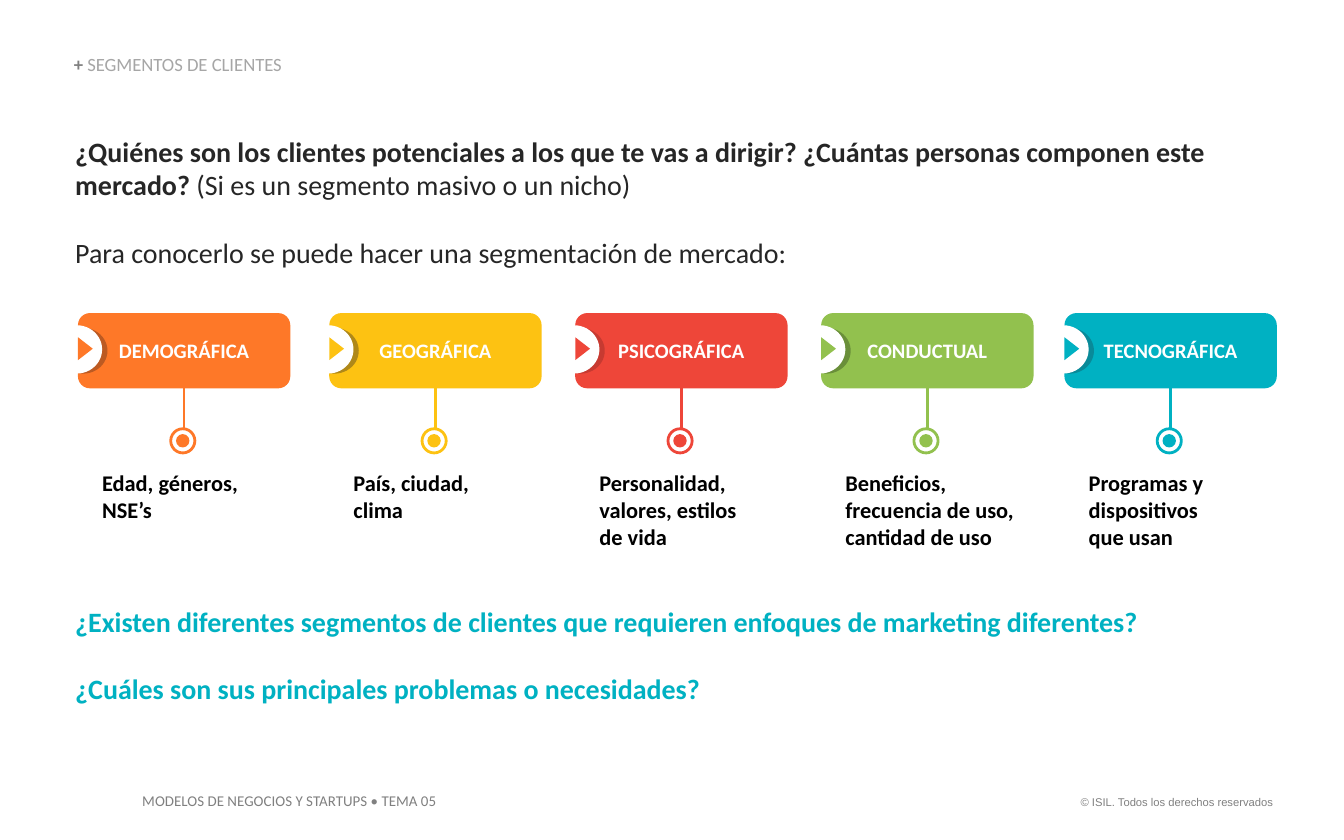
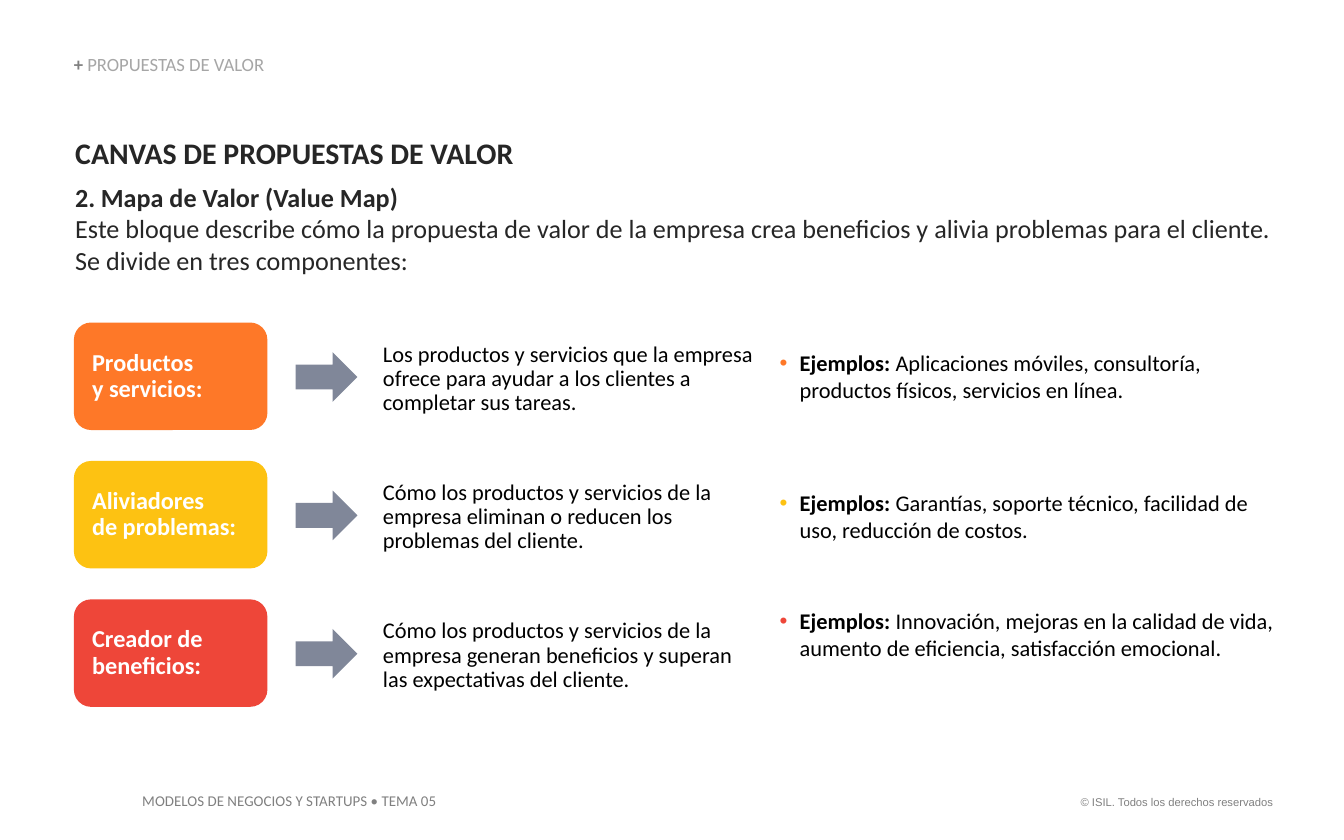
from dataclasses import dataclass
from typing import Optional

from lxml.etree import SubElement
from pptx import Presentation
from pptx.dml.color import RGBColor
from pptx.enum.shapes import MSO_CONNECTOR, MSO_SHAPE
from pptx.enum.text import MSO_ANCHOR, MSO_AUTO_SIZE, PP_ALIGN
from pptx.oxml.ns import qn
from pptx.util import Inches, Pt

COLORS = {
    "orange": "FE7828", "orange_dark": "BC5A22",
    "yellow": "FDC212", "yellow_dark": "AF8819",
    "red": "EE4639", "red_dark": "C73A31",
    "green": "92C14E", "green_dark": "6A8F3A",
    "teal": "00B1C2", "teal_dark": "098A99",
    "white": "FFFFFF", "black": "000000", "ink": "262626",
    "gray": "808080", "light_gray": "A6A6A6", "arrow": "808799",
}


@dataclass(frozen=True)
class Piece:
    """A run; unset values follow the paragraph."""
    text: str
    bold: Optional[bool] = None
    color: Optional[str] = None


@dataclass(frozen=True)
class Line:
    """A paragraph with its formatting."""
    pieces: tuple[Piece, ...]
    size: float
    color: str = "black"
    bold: bool = False
    font: str = "Calibri"
    align: PP_ALIGN = PP_ALIGN.LEFT
    spacing: float = 1.0
    before: float = 0
    after: float = 0
    hanging: float = 0
    bullet: Optional[str] = None
    bullet_color: str = "ink"
    number: Optional[int] = None


@dataclass(frozen=True)
class Segment:
    name: str
    left: float
    color: str
    detail: str
    detail_width: float = 1.22


@dataclass(frozen=True)
class Component:
    name: str
    color: str
    description: str
    examples: str
    examples_top: float


SEGMENTS = (
    Segment("DEMOGRÁFICA", 0.58, "orange", "Edad, géneros, NSE’s"),
    Segment("GEOGRÁFICA", 2.45, "yellow", "País, ciudad, clima"),
    Segment("PSICOGRÁFICA", 4.28, "red", "Personalidad, valores, estilos de vida"),
    Segment("CONDUCTUAL", 6.11, "green",
            "Beneficios, frecuencia de uso, cantidad de uso", 1.33),
    Segment("TECNOGRÁFICA", 7.92, "teal", "Programas y dispositivos\nque usan"),
)

COMPONENTS = (
    Component("Productos\ny servicios:", "orange",
              "Los productos y servicios que la empresa ofrece para ayudar a los "
              "clientes a completar sus tareas.",
              "Aplicaciones móviles, consultoría, productos físicos, servicios en línea.", 2.6),
    Component("Aliviadores\nde problemas:", "yellow",
              "Cómo los productos y servicios de la empresa eliminan o reducen los "
              "problemas del cliente.",
              "Garantías, soporte técnico, facilidad de uso, reducción de costos.", 3.64),
    Component("Creador de beneficios:", "red",
              "Cómo los productos y servicios de la empresa generan beneficios y superan "
              "las expectativas del cliente.",
              "Innovación, mejoras en la calidad de vida, aumento de eficiencia, "
              "satisfacción emocional.", 4.52),
)


def rgb(name: str) -> RGBColor:
    return RGBColor.from_string(COLORS[name])


# Text helpers
def set_bullet(paragraph, line: Line) -> None:
    properties = paragraph._p.get_or_add_pPr()
    properties.set("marL", str(Inches(line.hanging)))
    properties.set("indent", str(-Inches(line.hanging)))
    if not line.bullet and line.number is None:
        SubElement(properties, qn("a:buNone"))
        return
    color = SubElement(properties, qn("a:buClr"))
    SubElement(color, qn("a:srgbClr"), val=COLORS[line.bullet_color])
    if line.bullet:
        SubElement(properties, qn("a:buFont"), typeface="Arial")
        SubElement(properties, qn("a:buChar"), char=line.bullet)
    else:
        SubElement(properties, qn("a:buFont"), typeface="+mj-lt")
        SubElement(properties, qn("a:buAutoNum"), type="arabicPeriod",
                   startAt=str(line.number))


def write(text_frame, lines: list[Line]) -> None:
    for index, line in enumerate(lines):
        paragraph = text_frame.add_paragraph() if index else text_frame.paragraphs[0]
        set_bullet(paragraph, line)
        paragraph.alignment = line.align
        paragraph.line_spacing = line.spacing
        paragraph.space_before = Pt(line.before)
        paragraph.space_after = Pt(line.after)
        font = paragraph.font
        font.name, font.size, font.bold = line.font, Pt(line.size), line.bold
        font.color.rgb = rgb(line.color)
        for piece in line.pieces:
            for part_index, part in enumerate(piece.text.split("\n")):
                if part_index:
                    paragraph.add_line_break()
                run = paragraph.add_run()
                run.text = part
                if piece.bold is not None:
                    run.font.bold = piece.bold
                if piece.color:
                    run.font.color.rgb = rgb(piece.color)


def fit_text(shape, lines: list[Line], anchor=MSO_ANCHOR.TOP) -> None:
    """Write into a box without margins."""
    frame = shape.text_frame
    frame.word_wrap = True
    frame.auto_size = MSO_AUTO_SIZE.NONE
    frame.vertical_anchor = anchor
    frame.margin_left = frame.margin_right = frame.margin_top = frame.margin_bottom = 0
    write(frame, lines)


def place(shape, left: float, top: float, width: float, height: float) -> None:
    shape.left, shape.top = Inches(left), Inches(top)
    shape.width, shape.height = Inches(width), Inches(height)


def add_text(slide, left: float, top: float, width: float, height: float, line: Line) -> None:
    box = slide.shapes.add_textbox(Inches(left), Inches(top), Inches(width), Inches(height))
    fit_text(box, [line])


# Shape helpers
def add_shape(shapes, kind: MSO_SHAPE, left: float, top: float, width: float, height: float,
              fill: str, outline: Optional[str] = None):
    shape = shapes.add_shape(kind, Inches(left), Inches(top), Inches(width), Inches(height))
    shape.shadow.inherit = False
    shape.fill.solid()
    shape.fill.fore_color.rgb = rgb(fill)
    if outline:
        shape.line.color.rgb = rgb(outline)
        shape.line.width = Pt(1.5)
    else:
        shape.line.fill.background()
    return shape


def add_card(slide, left: float, top: float, width: float, height: float,
             fill: str, line: Line) -> None:
    card = add_shape(slide.shapes, MSO_SHAPE.ROUNDED_RECTANGLE, left, top, width, height, fill)
    card.adjustments[0] = 0.16
    card.text_frame.word_wrap = True
    card.text_frame.vertical_anchor = MSO_ANCHOR.MIDDLE
    write(card.text_frame, [line])


# Parts shared by both slides
def add_footer(slide, left: float, top: float, width: float, height: float, line: Line) -> None:
    box = slide.shapes.add_textbox(Inches(left), Inches(top), Inches(width), Inches(height))
    box.text_frame.word_wrap = False
    box.text_frame.auto_size = MSO_AUTO_SIZE.SHAPE_TO_FIT_TEXT
    write(box.text_frame, [line])


def add_base_slide(presentation, heading: str, body_height: float, body: list[Line]):
    slide = presentation.slides.add_slide(presentation.slide_layouts[1])
    title, content = slide.placeholders
    place(title, 0.55, 0.41, 4.25, 0.15)
    fit_text(title, [Line((Piece("+ ", True, "gray"), Piece(heading)), 10, "light_gray",
                          spacing=0.9)], MSO_ANCHOR.BOTTOM)
    place(content, 0.56, 1, 8.93, body_height)
    fit_text(content, body)
    add_footer(slide, 7.88, 5.87, 1.69, 0.2,
               Line((Piece("© ISIL. Todos los derechos reservados"),), 6, "gray",
                    font="Arial", align=PP_ALIGN.RIGHT))
    add_footer(slide, 0.96, 5.84, 2.45, 0.24,
               Line((Piece("MODELOS DE NEGOCIOS Y STARTUPS • TEMA 05"),), 8, "gray"))
    return slide


# Slide 1: customer segments
def add_segment(slide, segment: Segment) -> None:
    left, color = segment.left, segment.color
    add_text(slide, left + 0.18, 3.49, segment.detail_width, 0.61,
             Line((Piece(segment.detail),), 12, bold=True))

    # Stem and ring
    stem_x = Inches(left + 0.79)
    stem = slide.shapes.add_connector(MSO_CONNECTOR.STRAIGHT,
                                      stem_x, Inches(2.89), stem_x, Inches(3.19))
    stem.line.color.rgb = rgb(color)
    stem.line.width = Pt(1.5)
    SubElement(stem._element.spPr, qn("a:effectLst"))
    ring = slide.shapes.add_group_shape().shapes
    add_shape(ring, MSO_SHAPE.OVAL, left + 0.69, 3.19, 0.18, 0.18, "white", color)
    add_shape(ring, MSO_SHAPE.OVAL, left + 0.73, 3.23, 0.1, 0.1, color)

    # Card with its notch
    add_card(slide, left, 2.33, 1.58, 0.56, color,
             Line((Piece(segment.name),), 11, "white", True, align=PP_ALIGN.CENTER))
    notch = slide.shapes.add_group_shape().shapes
    add_shape(notch, MSO_SHAPE.OVAL, left - 0.14, 2.44, 0.36, 0.34, f"{color}_dark")
    add_shape(notch, MSO_SHAPE.OVAL, left - 0.2, 2.42, 0.38, 0.36, "white")
    pointer = add_shape(notch, MSO_SHAPE.ISOSCELES_TRIANGLE, left - 0.03, 2.54, 0.17, 0.11, color)
    pointer.rotation = 90


def build_segments_slide(presentation) -> None:
    slide = add_base_slide(presentation, "SEGMENTOS DE CLIENTES", 4.29, [
        Line((Piece("¿Quiénes son los clientes potenciales a los que te vas a dirigir? "
                    "¿Cuántas personas componen este mercado? ", True),
              Piece("(Si es un segmento masivo o un nicho)")), 15, "ink"),
        Line((Piece("Para conocerlo se puede hacer una segmentación de mercado:"),),
             15, "ink", before=18),
        Line((Piece("¿Existen diferentes segmentos de clientes que requieren enfoques de "
                    "marketing diferentes?"),), 15, "teal", True, before=180),
        Line((Piece("¿Cuáles son sus principales problemas o necesidades?"),),
             15, "teal", True, before=18),
    ])
    for segment in SEGMENTS:
        add_segment(slide, segment)


# Slide 2: value map
def add_component(slide, component: Component, top: float) -> None:
    add_text(slide, 2.85, top + 0.15, 2.76, 0.55,
             Line((Piece(component.description),), 12, spacing=0.9))
    add_shape(slide.shapes, MSO_SHAPE.RIGHT_ARROW, 2.2, top + 0.22, 0.46, 0.37, "arrow")
    add_card(slide, 0.55, top, 1.44, 0.8, component.color,
             Line((Piece(component.name),), 13, "white", True, spacing=0.9))
    add_text(slide, 5.8, component.examples_top, 3.69, 0.4,
             Line((Piece("Ejemplos: ", True), Piece(component.examples)), 12,
                  hanging=0.15, bullet="•", bullet_color=component.color))


def build_value_map_slide(presentation) -> None:
    slide = add_base_slide(presentation, "PROPUESTAS DE VALOR", 1.06, [
        Line((Piece("CANVAS DE PROPUESTAS DE VALOR"),), 16, "ink", True, after=6),
        Line((Piece("Mapa de Valor (Value Map)"),), 14, "ink", True, hanging=0.19, number=2),
        Line((Piece("Este bloque describe cómo la propuesta de valor de la empresa crea "
                    "beneficios y alivia problemas para el cliente. Se divide en tres "
                    "componentes:"),), 14, "ink"),
    ])
    for row, component in enumerate(COMPONENTS):
        add_component(slide, component, 2.4 + row * 1.03)


def main() -> None:
    presentation = Presentation()
    presentation.slide_width, presentation.slide_height = Inches(10), Inches(6.25)
    build_segments_slide(presentation)
    build_value_map_slide(presentation)
    presentation.save("out.pptx")


if __name__ == "__main__":
    main()
